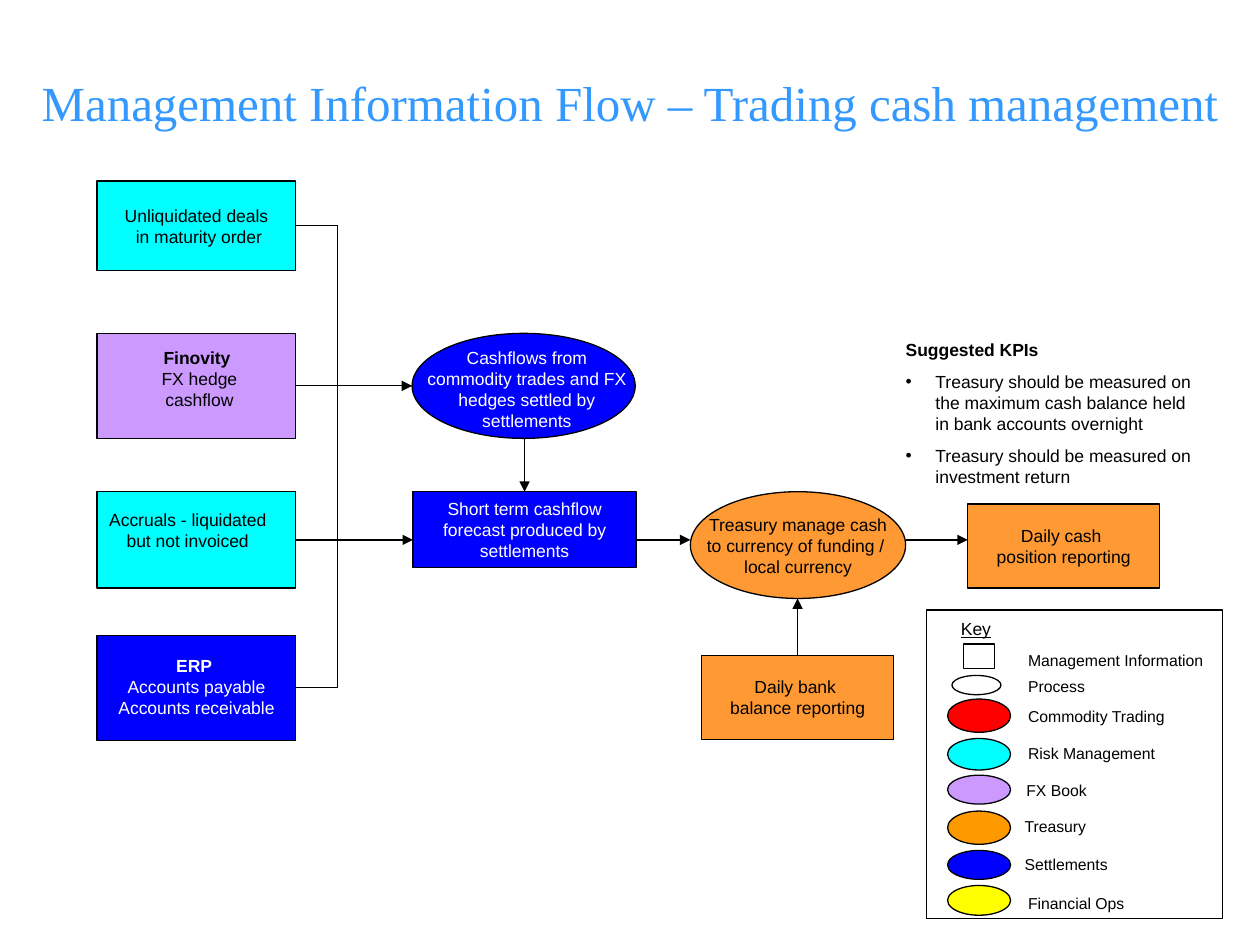
from lxml import etree
from pptx import Presentation
from pptx.dml.color import RGBColor
from pptx.enum import shapes, text
from pptx.oxml import ns
from pptx.util import Pt

BLACK = RGBColor(0x00, 0x00, 0x00)
WHITE = RGBColor(0xFF, 0xFF, 0xFF)
SKY = RGBColor(0x33, 0x99, 0xFF)
CYAN = RGBColor(0x00, 0xFF, 0xFF)
LILAC = RGBColor(0xCC, 0x99, 0xFF)
BLUE = RGBColor(0x00, 0x00, 0xFF)
PEACH = RGBColor(0xFF, 0x99, 0x33)
ORANGE = RGBColor(0xFF, 0x99, 0x00)
RED = RGBColor(0xFF, 0x00, 0x00)
YELLOW = RGBColor(0xFF, 0xFF, 0x00)

RECT, OVAL = shapes.MSO_SHAPE.RECTANGLE, shapes.MSO_SHAPE.OVAL
LEFT, CENTER = text.PP_ALIGN.LEFT, text.PP_ALIGN.CENTER
TOP, MIDDLE = text.MSO_ANCHOR.TOP, text.MSO_ANCHOR.MIDDLE
INSETS = (7.2, 3.6, 7.2, 3.6)


def child(parent, tag, **attributes):
    return etree.SubElement(parent, ns.qn(tag), attributes)


def write(shape, lines, color=BLACK, size=10, name="Arial", align=CENTER, anchor=MIDDLE,
          wrap=False, insets=INSETS, bold_first=False, underline=None):
    """Fill a shape with one paragraph of broken lines."""
    frame = shape.text_frame
    sides = ("margin_left", "margin_top", "margin_right", "margin_bottom")
    layout = dict(zip(sides, map(Pt, insets)), word_wrap=wrap, vertical_anchor=anchor)
    for key, value in layout.items():
        setattr(frame, key, value)
    para = frame.paragraphs[0]
    para.alignment = align
    for index, line in enumerate(lines):
        if index:
            para.add_line_break()
        span = para.add_run()
        span.text = line
        style = {"size": Pt(size), "name": name, "underline": underline,
                 "bold": bold_first and index == 0}
        for key, value in style.items():
            setattr(span.font, key, value)
        span.font.color.rgb = color


def add_box(page, box, lines, **style):
    shape = page.shapes.add_textbox(*map(Pt, box))
    write(shape, lines, **style)
    return shape


def add_node(page, kind, box, fill=None, lines=(), weight=0.75, **style):
    shape = page.shapes.add_shape(kind, *map(Pt, box))
    shape.shadow.inherit = False
    if fill is None:
        shape.fill.background()
    else:
        shape.fill.solid()
        shape.fill.fore_color.rgb = fill
    shape.line.color.rgb = BLACK
    shape.line.width = Pt(weight)
    if lines:
        write(shape, lines, **style)
    return shape


def add_line(page, start, end, arrow=False, source=None, target=None):
    """Draw a line; source and target are (shape, side) pairs."""
    line = page.shapes.add_connector(shapes.MSO_CONNECTOR.STRAIGHT, *map(Pt, start + end))
    line.line.color.rgb = BLACK
    line.line.width = Pt(0.75)
    if arrow:
        child(line.line._get_or_add_ln(), "a:tailEnd", type="triangle")
    child(line._element.spPr, "a:effectLst")
    if source:
        line.begin_connect(*source)
    if target:
        line.end_connect(*target)
    return line


def add_sources(page, left, top):
    """Four input boxes joined to one vertical bus."""
    width, bus = 113.5, left + 137.5
    sources = [
        (0, 51, CYAN, ["Unliquidated deals", " in maturity order"], {}),
        (87, 60, LILAC, ["Finovity ", "FX hedge", "cashflow"],
         {"anchor": TOP, "insets": (10.5, 8, 7.2, 0), "bold_first": True}),
        (177.5, 55, CYAN, ["Accruals - liquidated", "but not invoiced"],
         {"anchor": TOP, "insets": (0, 10, 10, 0)}),
        (259.5, 60, BLUE, ["ERP ", "Accounts payable", "Accounts receivable"],
         {"anchor": TOP, "insets": (7.2, 11.5, 7.2, 0), "bold_first": True, "color": WHITE}),
    ]
    middles = []
    for offset, height, fill, lines, style in sources:
        node = add_node(page, RECT, (left, top + offset, width, height), fill, lines, **style)
        middle = top + offset + height / 2
        add_line(page, (left + width, middle), (bus, middle), source=(node, 3))
        middles.append(middle)
    add_line(page, (bus, middles[0]), (bus, middles[-1]))
    return bus, middles


def add_flow(page, left, top, bus, middles):
    """Processes and reports to the right of the bus."""
    add_node(page, OVAL, (left, top, 127.5, 60), BLUE, weight=0)
    add_box(page, (left, top + 4, 131, 56),
            ["Cashflows from commodity trades and FX hedges settled by settlements"],
            color=WHITE, anchor=TOP, wrap=True)
    forecast = add_node(page, RECT, (left + 0.5, top + 90.5, 127.5, 43.5), BLUE,
                        ["Short term cashflow forecast produced by settlements"],
                        color=WHITE, anchor=TOP, wrap=True)
    add_node(page, OVAL, (left + 159, top + 90.5, 123, 61), PEACH,
             ["Treasury manage cash", "to currency of funding / ", "local currency"])
    add_node(page, RECT, (left + 317.5, top + 97.5, 109.5, 48), PEACH,
             ["Daily cash ", "position reporting"])
    bank = add_node(page, RECT, (left + 165.5, top + 184, 109.5, 48), PEACH,
                    ["Daily bank ", "balance reporting"])

    # Horizontal arrows
    row = middles[2]
    for start, end, y in [(bus, left, middles[1]), (bus, left + 0.5, row),
                          (left + 128, left + 159, row), (left + 282, left + 317.5, row)]:
        add_line(page, (start, y), (end, y), arrow=True)
    # Vertical arrows
    add_line(page, (left + 64.25, top + 60), (left + 64.25, top + 90.5),
             arrow=True, target=(forecast, 0))
    add_line(page, (left + 220.25, top + 184), (left + 220.25, top + 151.5),
             arrow=True, source=(bank, 0))


def add_kpis(page, box):
    """Bold heading with bulleted measures."""
    shape = add_box(page, box, ["Suggested KPIs"], align=LEFT, anchor=TOP,
                    wrap=True, bold_first=True)
    for measure in ["Treasury should be measured on the maximum cash balance held "
                    "in bank accounts overnight",
                    "Treasury should be measured on investment return"]:
        para = shape.text_frame.add_paragraph()
        para.space_before = Pt(6.2)
        props = para._p.get_or_add_pPr()
        props.set("marL", str(Pt(17)))
        props.set("indent", str(-Pt(17)))
        child(props, "a:buFont", typeface="Arial")
        child(props, "a:buChar", char="•")
        span = para.add_run()
        span.text = measure
        span.font.name, span.font.size = "Arial", Pt(10)
        span.font.color.rgb = BLACK


def add_key(page, left, top):
    """Legend of shapes and colours."""
    add_node(page, RECT, (left, top, 169, 176.5), weight=0)
    add_box(page, (left + 12.5, top + 4.5, 85, 12), ["Key"], align=LEFT, wrap=True,
            underline=True)
    # kind, swatch box, fill, line weight, label left and middle, label
    entries = [
        (RECT, (21, 19.5, 18, 14), WHITE, 0, 58, 28.5, "Management Information"),
        (OVAL, (14.5, 37.5, 28, 11), WHITE, 0, 58, 43.5, "Process"),
    ]
    colors = [
        (51, 19, RED, 58, 61, "Commodity Trading"),
        (73.5, 18, CYAN, 58, 82, "Risk Management"),
        (94.5, 16.5, LILAC, 57, 103, "FX Book"),
        (115, 19, ORANGE, 56, 123.5, "Treasury"),
        (137.5, 16.5, BLUE, 56, 145.5, "Settlements"),
        (157.5, 17, YELLOW, 58, 167.5, "Financial Ops"),
    ]
    entries += [(OVAL, (12, y, 36, height), fill, 0.75, *label)
                for y, height, fill, *label in colors]
    for kind, (x, y, width, height), fill, weight, indent, middle, label in entries:
        add_node(page, kind, (left + x, top + y, width, height), fill, weight=weight)
        add_box(page, (left + indent, top + middle - 5.5, 108, 11), [label], size=9,
                align=LEFT, wrap=True, insets=(0, 0, 0, 0))


def main():
    deck = Presentation()
    deck.slide_width, deck.slide_height = Pt(720), Pt(540)
    page = deck.slides.add_slide(deck.slide_layouts[6])
    add_box(page, (0, 13.5, 720, 90), ["Management Information Flow – Trading cash management"],
            color=SKY, size=28, name="Times New Roman", wrap=True)
    bus, middles = add_sources(page, 55.5, 103.5)
    add_flow(page, 235.5, 190.5, bus, middles)
    add_kpis(page, (510.5, 190, 183, 92))
    add_key(page, 529.5, 348.5)
    deck.save("out.pptx")


if __name__ == "__main__":
    main()
